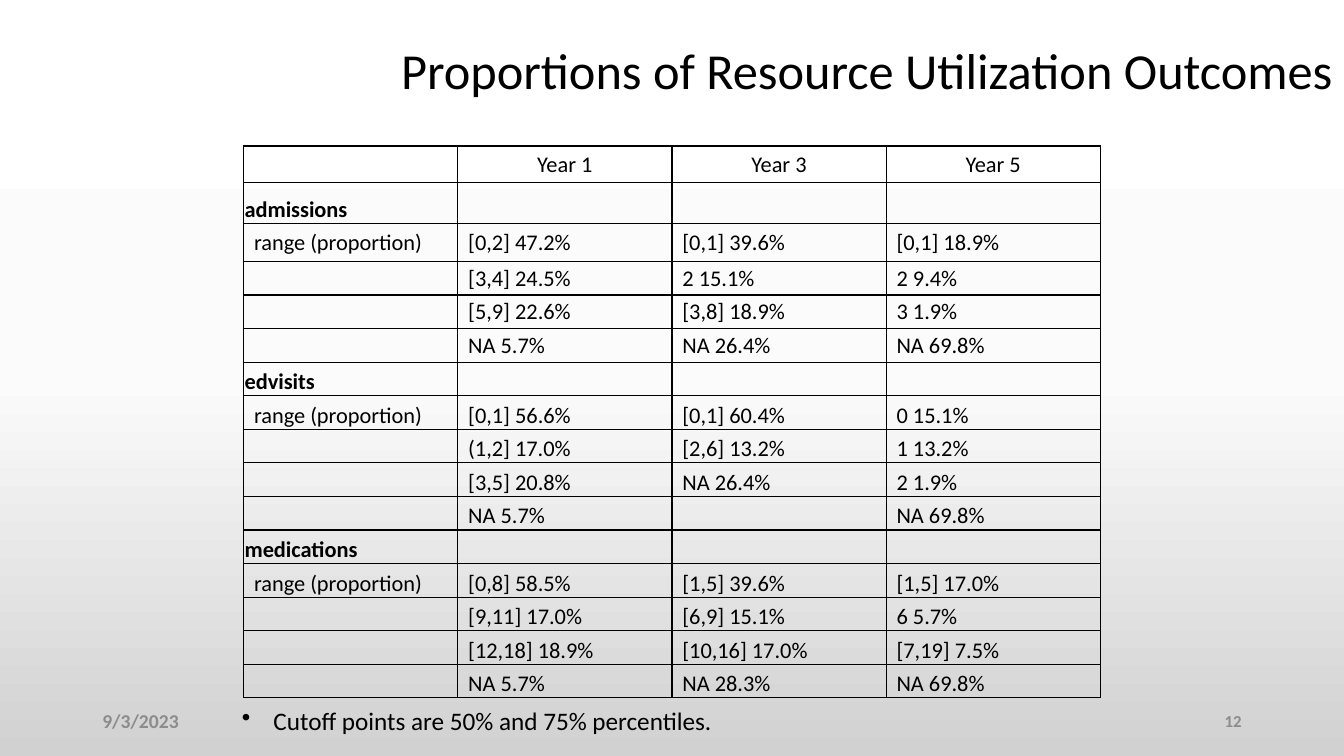
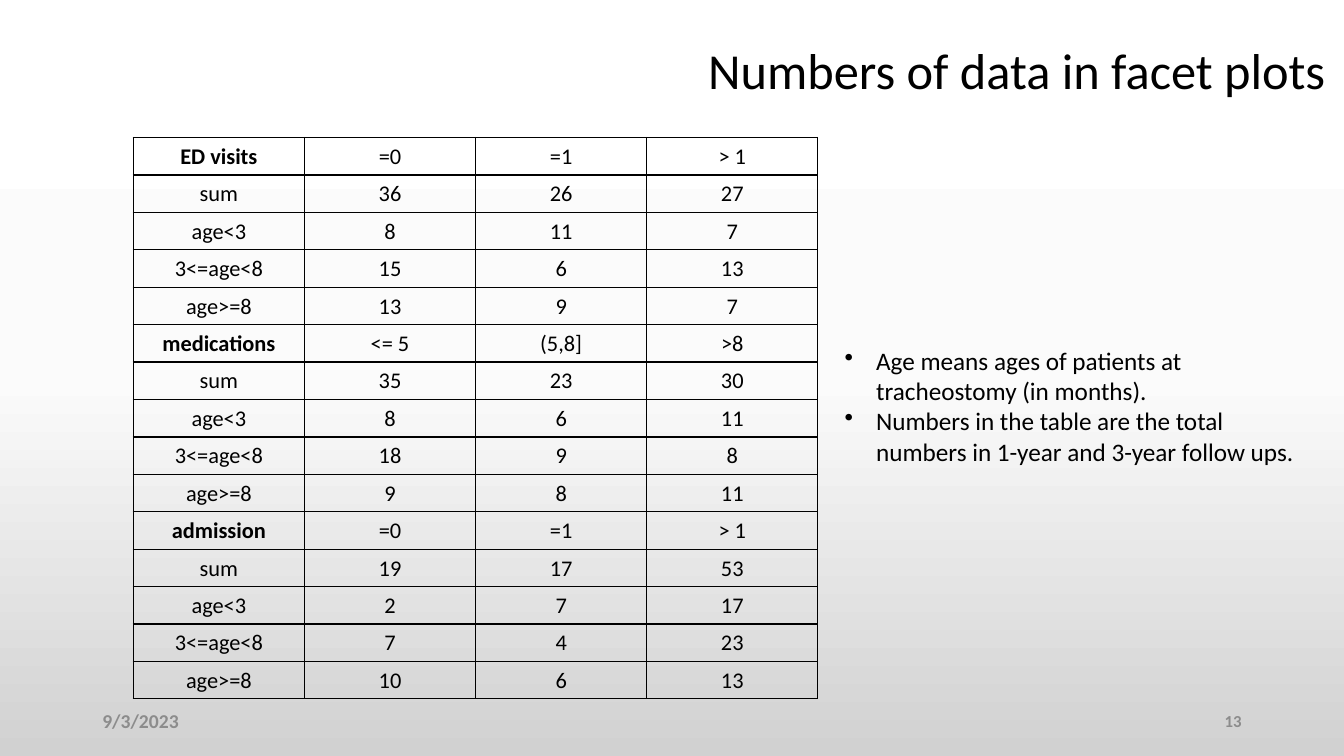
from copy import deepcopy
from dataclasses import dataclass
from lxml import etree
from pptx import Presentation
from pptx.dml.color import RGBColor
from pptx.enum.text import MSO_ANCHOR, PP_ALIGN
from pptx.oxml.ns import qn
from pptx.util import Pt

LEFT, CENTER, RIGHT = PP_ALIGN.LEFT, PP_ALIGN.CENTER, PP_ALIGN.RIGHT
TOP, MIDDLE, BOTTOM = MSO_ANCHOR.TOP, MSO_ANCHOR.MIDDLE, MSO_ANCHOR.BOTTOM
PX = 9525
BLANK = 6


@dataclass(frozen=True)
class Theme:
    font: str = "Calibri"
    ink: str = "000000"
    muted: str = "8C8C8C"
    backdrop: tuple = ((0, "FFFFFF"), (0.5, "FBFBFB"), (1, "D1D1D1"))
    title: int = 36
    note: int = 18
    cell: int = 16
    date: int = 14
    number: int = 12
    border: int = 1


THEME = Theme()
DATE = "9/3/2023"

OUTCOME_GROUPS = [
    ("admissions", [
        ("[0,2] 47.2%", "[0,1] 39.6%", "[0,1] 18.9%"),
        ("[3,4] 24.5%", "2 15.1%", "2 9.4%"),
        ("[5,9] 22.6%", "[3,8] 18.9%", "3 1.9%"),
        ("NA 5.7%", "NA 26.4%", "NA 69.8%"),
    ]),
    ("edvisits", [
        ("[0,1] 56.6%", "[0,1] 60.4%", "0 15.1%"),
        ("(1,2] 17.0%", "[2,6] 13.2%", "1 13.2%"),
        ("[3,5] 20.8%", "NA 26.4%", "2 1.9%"),
        ("NA 5.7%", "", "NA 69.8%"),
    ]),
    ("medications", [
        ("[0,8] 58.5%", "[1,5] 39.6%", "[1,5] 17.0%"),
        ("[9,11] 17.0%", "[6,9] 15.1%", "6 5.7%"),
        ("[12,18] 18.9%", "[10,16] 17.0%", "[7,19] 7.5%"),
        ("NA 5.7%", "NA 28.3%", "NA 69.8%"),
    ]),
]

FACET_LABELS = ("sum", "age<3", "3<=age<8", "age>=8")
FACET_GROUPS = [
    (("ED visits", "=0", "=1", "> 1"),
     [(36, 26, 27), (8, 11, 7), (15, 6, 13), (13, 9, 7)]),
    (("medications", "<= 5", "(5,8]", ">8"),
     [(35, 23, 30), (8, 6, 11), (18, 9, 8), (9, 8, 11)]),
    (("admission", "=0", "=1", "> 1"),
     [(19, 17, 53), (2, 7, 17), (7, 4, 23), (10, 6, 13)]),
]


def style(para, size, color=THEME.ink, bold=False, align=LEFT):
    para.alignment = align
    para.font.name = THEME.font
    para.font.size = Pt(size)
    para.font.bold = bold
    para.font.color.rgb = RGBColor.from_string(color)


def add_text(page, box, lines, size, anchor=MIDDLE, **look):
    frame = page.shapes.add_textbox(*(PX * side for side in box)).text_frame
    frame.word_wrap = True
    frame.vertical_anchor = anchor
    frame.text = "\n".join(lines)
    for para in frame.paragraphs:
        style(para, size, **look)
    return frame


def add_title(page, box, text):
    frame = add_text(page, box, [text], THEME.title, align=RIGHT)
    frame.paragraphs[0].line_spacing = 0.9


def add_bullets(page, box, lines):
    indent = 30 * PX
    for para in add_text(page, box, lines, THEME.note, anchor=TOP).paragraphs:
        props = para._p.get_or_add_pPr()
        props.set("marL", str(indent))
        props.set("indent", str(-indent))
        bullet = etree.Element(qn("a:buChar"), char="•")
        props.find(qn("a:defRPr")).addprevious(bullet)


def add_footer(page, box, number):
    left, top, width, height = box
    part = 288
    add_text(page, (left, top, part, height), [DATE], THEME.date,
             color=THEME.muted, bold=True)
    add_text(page, (left + width - part, top, part, height), [str(number)],
             THEME.number, color=THEME.muted, bold=True, align=RIGHT)


def add_borders(cell):
    props = cell._tc.get_or_add_tcPr()
    for index, side in enumerate("LRTB"):
        line = etree.Element(qn(f"a:ln{side}"), w=str(Pt(THEME.border)))
        fill = etree.SubElement(line, qn("a:solidFill"))
        etree.SubElement(fill, qn("a:srgbClr"), val=THEME.ink)
        props.insert(index, line)


def fill_cell(cell, text, bold=False, align=LEFT, anchor=MIDDLE, inset=1):
    cell.text = str(text)
    cell.vertical_anchor = anchor
    cell.margin_left = inset * PX
    cell.margin_right = PX
    cell.margin_top = PX
    cell.margin_bottom = 0
    cell.fill.background()
    add_borders(cell)
    style(cell.text_frame.paragraphs[0], THEME.cell, bold=bold, align=align)


def add_grid(page, box, rows, heights, look):
    columns = len(rows[0])
    sides = (PX * side for side in box)
    table = page.shapes.add_table(len(rows), columns, *sides).table
    table.first_row = table.horz_banding = False
    for column in table.columns:
        column.width = box[2] * PX // columns
    for r, (values, height) in enumerate(zip(rows, heights)):
        table.rows[r].height = int(height * PX)
        for c, value in enumerate(values):
            fill_cell(table.cell(r, c), value, **look(r, c))


def add_outcome_table(page, box):
    rows = [("", "Year 1", "Year 3", "Year 5")]
    for name, ranges in OUTCOME_GROUPS:
        rows.append((name, "", "", ""))
        for index, values in enumerate(ranges):
            rows.append(("" if index else "range (proportion)", *values))
    tall = [35, 39, 36]
    rest = len(rows) - len(tall)
    heights = tall + [(box[3] - sum(tall)) / rest] * rest
    names = [name for name, ranges in OUTCOME_GROUPS]

    def look(r, c):
        if r == 0:
            return {"align": CENTER}
        anchor = BOTTOM if r == 1 or r > 5 else MIDDLE
        heading = rows[r][0] in names
        return {"bold": heading, "anchor": anchor, "inset": 1 if heading else 10}

    add_grid(page, box, rows, heights, look)


def add_facet_table(page, box):
    rows = []
    for header, counts in FACET_GROUPS:
        rows.append(header)
        rows += [(label, *values) for label, values in zip(FACET_LABELS, counts)]
    step = len(FACET_LABELS) + 1

    def look(r, c):
        return {"bold": c == 0 and r % step == 0, "align": CENTER}

    add_grid(page, box, rows, [box[3] / len(rows)] * len(rows), look)


def set_backdrop(master):
    fill = master.background.fill
    fill.gradient()
    fill.gradient_angle = 270
    stops = master.element.find(".//" + qn("a:gsLst"))
    stops.append(deepcopy(stops[-1]))
    for stop, (position, color) in zip(fill.gradient_stops, THEME.backdrop):
        stop.position = position
        stop.color.rgb = RGBColor.from_string(color)


def add_page(deck, number, title, title_left):
    page = deck.slides.add_slide(deck.slide_layouts[BLANK])
    add_footer(page, (88, 667, 1104, 38), number)
    add_title(page, (title_left, 0, 1104, 139), title)
    return page


def add_outcome_page(deck):
    page = add_page(deck, 12, "Proportions of Resource Utilization Outcomes", 175)
    add_outcome_table(page, (232, 139, 816, 526))
    add_bullets(page, (221, 667, 770, 38),
                ["Cutoff points are 50% and 75% percentiles."])


def add_facet_page(deck):
    page = add_page(deck, 13, "Numbers of data in facet plots", 168)
    add_facet_table(page, (127, 131, 652, 535))
    add_bullets(page, (795, 324, 459, 126), [
        "Age means ages of patients at tracheostomy (in months).",
        "Numbers in the table are the total numbers in 1-year and 3-year follow ups.",
    ])


def main():
    deck = Presentation()
    deck.slide_width, deck.slide_height = 1280 * PX, 720 * PX
    set_backdrop(deck.slide_master)
    add_outcome_page(deck)
    add_facet_page(deck)
    deck.save("out.pptx")


if __name__ == "__main__":
    main()
